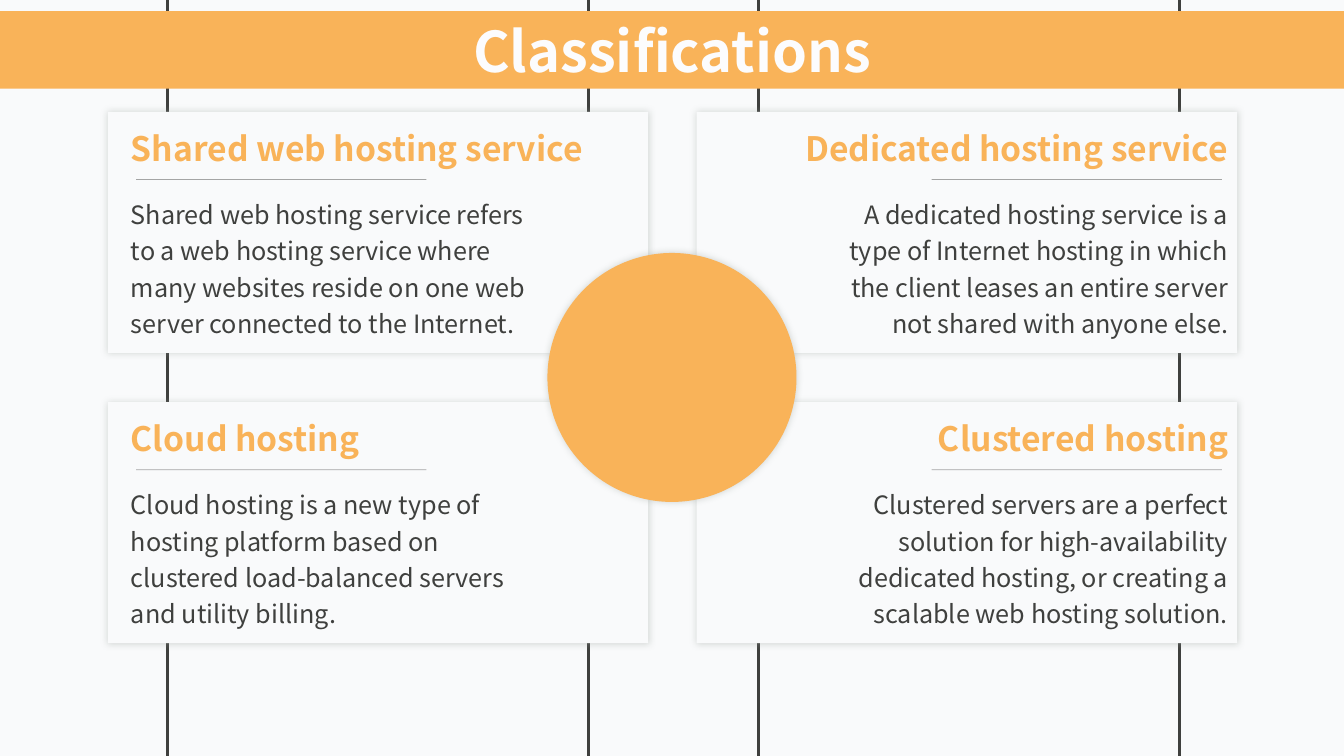
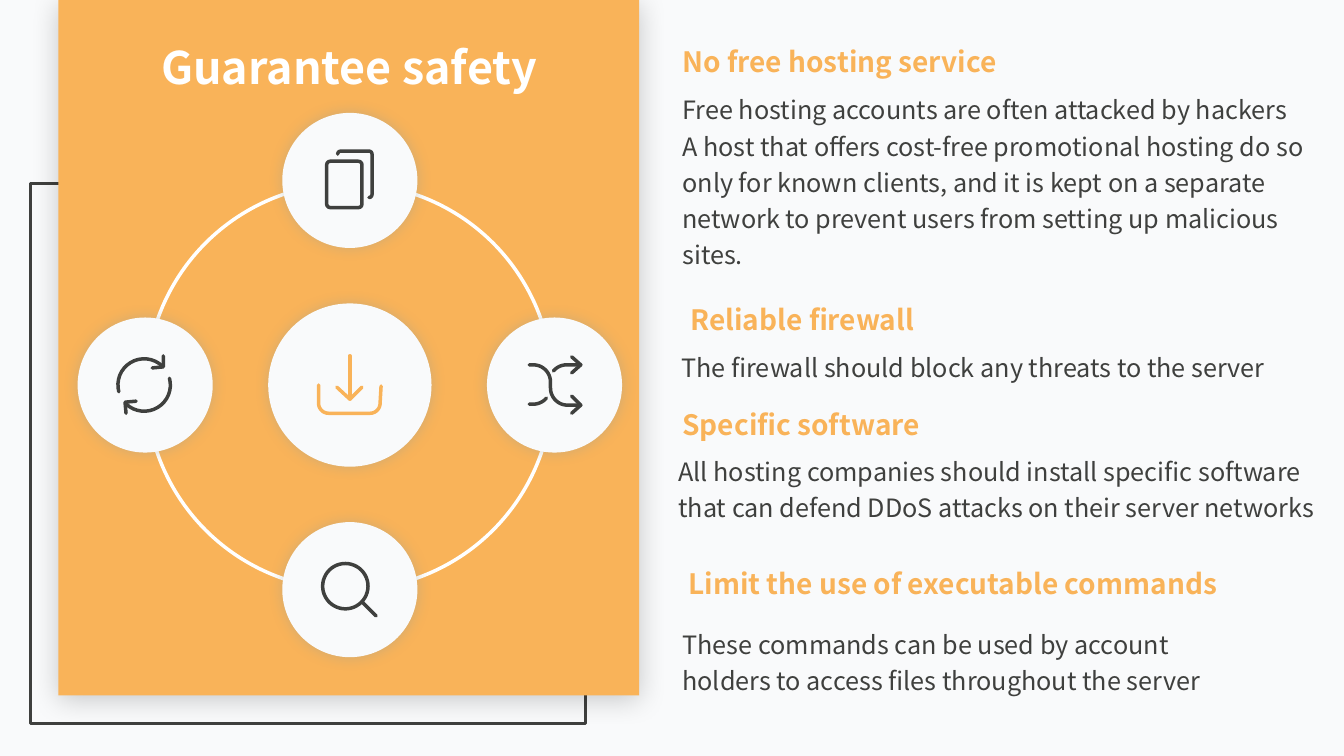
"""Build two slides on web hosting: its classifications and its safety rules."""
import math

from lxml import etree
from pptx import Presentation
from pptx import util as u
from pptx.dml.color import RGBColor
from pptx.enum import shapes, text
from pptx.oxml import ns

PAPER, INK, ORANGE, WHITE = "F9FAFB", "3F403E", "F9B359", "FFFFFF"
FONT = "Noto Sans CJK SC"
LEFT, CENTER, RIGHT = text.PP_ALIGN.LEFT, text.PP_ALIGN.CENTER, text.PP_ALIGN.RIGHT
SHAPE = shapes.MSO_SHAPE
SOFT = ("969F98", 40, 5, 0)
GLOW = ("969F98", 40, 10, 0)
DROP = ("000000", 20, 20, 3)
STYLES = {
    "band": {"size": 40, "bold": True, "color": "FCFCFD", "wrap": True, "spacing": 1.0},
    "title": {"size": 32, "bold": True, "color": WHITE, "wrap": False, "spacing": 1.0},
    "card": {"size": 24, "bold": True, "color": ORANGE, "wrap": False, "spacing": 1.0},
    "rule": {"size": 20, "bold": True, "color": ORANGE, "wrap": False, "spacing": 1.0},
    "body": {"size": 18, "bold": False, "color": INK, "wrap": True, "spacing": 1.2},
}


def paint(shape, fill=None, line=None, width=2, shadow=None):
    if fill:
        shape.fill.solid()
        shape.fill.fore_color.rgb = RGBColor.from_string(fill)
    else:
        shape.fill.background()
    if line:
        shape.line.color.rgb = RGBColor.from_string(line)
        shape.line.width = u.Pt(width)
    else:
        shape.line.fill.background()
    shape.shadow.inherit = False
    if shadow:
        color, alpha, blur, distance = shadow
        effects = shape._element.spPr.find(ns.qn("a:effectLst"))
        outer = etree.SubElement(effects, ns.qn("a:outerShdw"), blurRad=str(u.Pt(blur)),
                                 dist=str(u.Pt(distance)), dir="5400000", algn="ctr", rotWithShape="0")
        tint = etree.SubElement(outer, ns.qn("a:srgbClr"), val=color)
        etree.SubElement(tint, ns.qn("a:alpha"), val=str(alpha * 1000))


def write(holder, paragraphs, style, align=LEFT):
    look = STYLES[style]
    frame = holder.text_frame
    frame_format = {"word_wrap": look["wrap"], "auto_size": text.MSO_AUTO_SIZE.SHAPE_TO_FIT_TEXT}
    for name, value in frame_format.items():
        setattr(frame, name, value)
    for index, words in enumerate(paragraphs):
        paragraph = frame.add_paragraph() if index else frame.paragraphs[0]
        paragraph.alignment = align
        paragraph.line_spacing = look["spacing"]
        run = paragraph.add_run()
        run.text = words
        for name, value in {"name": FONT, "size": u.Pt(look["size"]), "bold": look["bold"]}.items():
            setattr(run.font, name, value)
        run.font.color.rgb = RGBColor.from_string(look["color"])
        properties = run.font._element
        etree.SubElement(properties, ns.qn("a:ea"), typeface=FONT)


deck = Presentation()
deck.slide_width, deck.slide_height = u.Inches(13.33), u.Inches(7.5)
classes, safety = [deck.slides.add_slide(deck.slide_layouts[6]) for _ in range(2)]
for slide in (classes, safety):
    slide.background.fill.solid()
    slide.background.fill.fore_color.rgb = RGBColor.from_string(PAPER)

for left in (7.52, 1.66):
    rails = classes.shapes.add_shape(SHAPE.RECTANGLE, *map(u.Inches, (left, -0.18, 4.18, 7.86)))
    paint(rails, line=INK)

services = [
    ("Shared web hosting service", 4.8,
     "Shared web hosting service refers to a web hosting service where many websites reside "
     "on one web server connected to the Internet."),
    ("Dedicated hosting service", 4.54,
     "A dedicated hosting service is a type of Internet hosting in which the client leases "
     "an entire server not shared with anyone else."),
    ("Cloud hosting", 2.55,
     "Cloud hosting is a new type of hosting platform based on clustered load-balanced "
     "servers and utility billing."),
    ("Clustered hosting", 3.16,
     "Clustered servers are a perfect solution for high-availability dedicated hosting, "
     "or creating a scalable web hosting solution."),
]
for index, (heading, heading_width, description) in enumerate(services):
    row, column = divmod(index, 2)
    top = 1.11 + 2.88 * row
    align = (LEFT, RIGHT)[column]
    card = classes.shapes.add_shape(
        SHAPE.RECTANGLE, *map(u.Inches, (1.07 + 5.84 * column, top, 5.36, 2.39)))
    paint(card, PAPER, shadow=SOFT)
    parts = [(description, 4.35, 0.76, 1.55, "body"), (heading, heading_width, 0.11, 0.5, "card")]
    for words, width, drop, height, style in parts:
        left = 12.28 - width if column else 1.2
        box = classes.shapes.add_textbox(*map(u.Inches, (left, top + drop, width, height)))
        write(box, [words], style, align)
    start = (1.35, 9.24)[column]
    divider = classes.shapes.add_connector(
        shapes.MSO_CONNECTOR.STRAIGHT, *map(u.Inches, (start + 2.88, top + 0.67, start, top + 0.67)))
    divider.line.color.rgb = RGBColor.from_string("262626")
    divider.line.width = u.Pt(0.5)
    tint = divider._element.spPr.find(".//" + ns.qn("a:srgbClr"))
    etree.SubElement(tint, ns.qn("a:alpha"), val="40000")
    etree.SubElement(divider._element.spPr, ns.qn("a:effectLst"))

center_disc = classes.shapes.add_shape(SHAPE.OVAL, *map(u.Inches, (5.43, 2.51, 2.47, 2.47)))
paint(center_disc, ORANGE, shadow=SOFT)
band = classes.shapes.add_shape(SHAPE.RECTANGLE, *map(u.Inches, (0, 0.11, 13.33, 0.77)))
paint(band, ORANGE)
write(band, ["Classifications"], "band", CENTER)

outline = safety.shapes.add_shape(SHAPE.RECTANGLE, *map(u.Inches, (0.3, 1.82, 5.51, 5.36)))
paint(outline, line=INK)
panel = safety.shapes.add_shape(SHAPE.RECTANGLE, *map(u.Inches, (0.58, 0, 5.76, 6.9)))
paint(panel, ORANGE, shadow=DROP)

ring = safety.shapes.add_shape(SHAPE.OVAL, *map(u.Inches, (1.45, 1.82, 4.03, 4.03)))
paint(ring, line=WHITE, width=2.5)
hub_x, hub_y, orbit = 3.47, 3.82, 2.03
discs = [(0, 0, 1.62), (0, -1, 1.34), (1, 0, 1.34), (0, 1, 1.34), (-1, 0, 1.34)]
for across, down, size in discs:
    left, top = hub_x + orbit * across - size / 2, hub_y + orbit * down - size / 2
    disc = safety.shapes.add_shape(SHAPE.OVAL, *map(u.Inches, (left, top, size, size)))
    paint(disc, PAPER, shadow=GLOW)

front_page = safety.shapes.add_shape(SHAPE.ROUNDED_RECTANGLE, *map(u.Inches, (3.24, 1.6, 0.35, 0.46)))
front_page.adjustments[0] = 0.1
lens = safety.shapes.add_shape(SHAPE.OVAL, *map(u.Inches, (3.2, 5.59, 0.45, 0.45)))
for icon_part in (front_page, lens):
    paint(icon_part, line=INK, width=2.5)

# Each step is a point (x, y) or an arc (x, y, radius, first angle, last angle).
strokes = [
    (ORANGE, [(3.16, 3.82), (3.26, 4, 0.1, 180, 90), (3.67, 4, 0.1, 90, 0), (3.78, 3.83)]),
    (ORANGE, [(3.47, 3.53), (3.47, 3.96)]),
    (ORANGE, [(3.34, 3.84), (3.47, 3.96), (3.59, 3.84)]),
    (INK, [(3.38, 1.53, 0.03, 180, 270), (3.66, 1.53, 0.03, 270, 360), (3.66, 1.93, 0.03, 0, 90)]),
    (INK, [(3.59, 5.97), (3.73, 6.11)]),
    (INK, [(1.43, 3.82, 0.26, 165, 313)]),
    (INK, [(1.62, 3.53), (1.62, 3.64), (1.51, 3.65)]),
    (INK, [(1.43, 3.82, 0.26, -15, 133)]),
    (INK, [(1.25, 4.1), (1.24, 3.99), (1.35, 3.98)]),
    (INK, [(5.25, 3.62), (5.29, 3.79, 0.17, -90, 0), (5.63, 3.85, 0.17, 180, 90), (5.76, 4.02)]),
    (INK, [(5.25, 4.01), (5.29, 3.84, 0.17, 90, 40)]),
    (INK, [(5.62, 3.79, 0.17, 220, 270), (5.76, 3.62)]),
    (INK, [(5.67, 3.54), (5.76, 3.62), (5.67, 3.7)]),
    (INK, [(5.67, 3.93), (5.76, 4.02), (5.67, 4.1)]),
]
for color, steps in strokes:
    points = []
    for x, y, *arc in steps:
        if arc:
            radius, first, last = arc
            angles = [math.radians(first + (last - first) * i / 16) for i in range(17)]
            points += [(x + radius * math.cos(a), y + radius * math.sin(a)) for a in angles]
        else:
            points.append((x, y))
    points = [(u.Inches(x), u.Inches(y)) for x, y in points]
    builder = safety.shapes.build_freeform(*points[0])
    builder.add_line_segments(points[1:], close=False)
    stroke = builder.convert_to_shape()
    paint(stroke, line=color, width=2.5)
    pen = stroke.line._get_or_add_ln()
    pen.set("cap", "rnd")
    etree.SubElement(pen, ns.qn("a:round"))

rules = [
    ("No free hosting service", (6.67, 0.39, 3.46, 0.44), (6.67, 0.83, 6.6, 1.55),
     ["Free hosting accounts are often attacked by hackers",
      "A host that offers cost-free promotional hosting do so only for known clients, and it is "
      "kept on a separate network to prevent users from setting up malicious sites."]),
    ("Reliable firewall", (6.75, 2.95, 2.42, 0.44), (6.66, 3.39, 6.6, 0.46),
     ["The firewall should block any threats to the server"]),
    ("Specific software", (6.67, 3.99, 2.58, 0.44), (6.63, 4.42, 6.6, 0.83),
     ["All hosting companies should install specific software that can defend DDoS attacks "
      "on their server networks"]),
    ("Limit the use of executable commands", (6.73, 5.57, 5.6, 0.44), (6.67, 6.13, 5.86, 0.83),
     ["These commands can be used by account holders to access files throughout the server"]),
]
for heading, heading_place, body_place, body in rules:
    for place, words, style in ((body_place, body, "body"), (heading_place, [heading], "rule")):
        write(safety.shapes.add_textbox(*map(u.Inches, place)), words, style)
title = safety.shapes.add_textbox(*map(u.Inches, (1.46, 0.34, 4.01, 0.64)))
write(title, ["Guarantee safety"], "title", CENTER)

deck.save("out.pptx")
